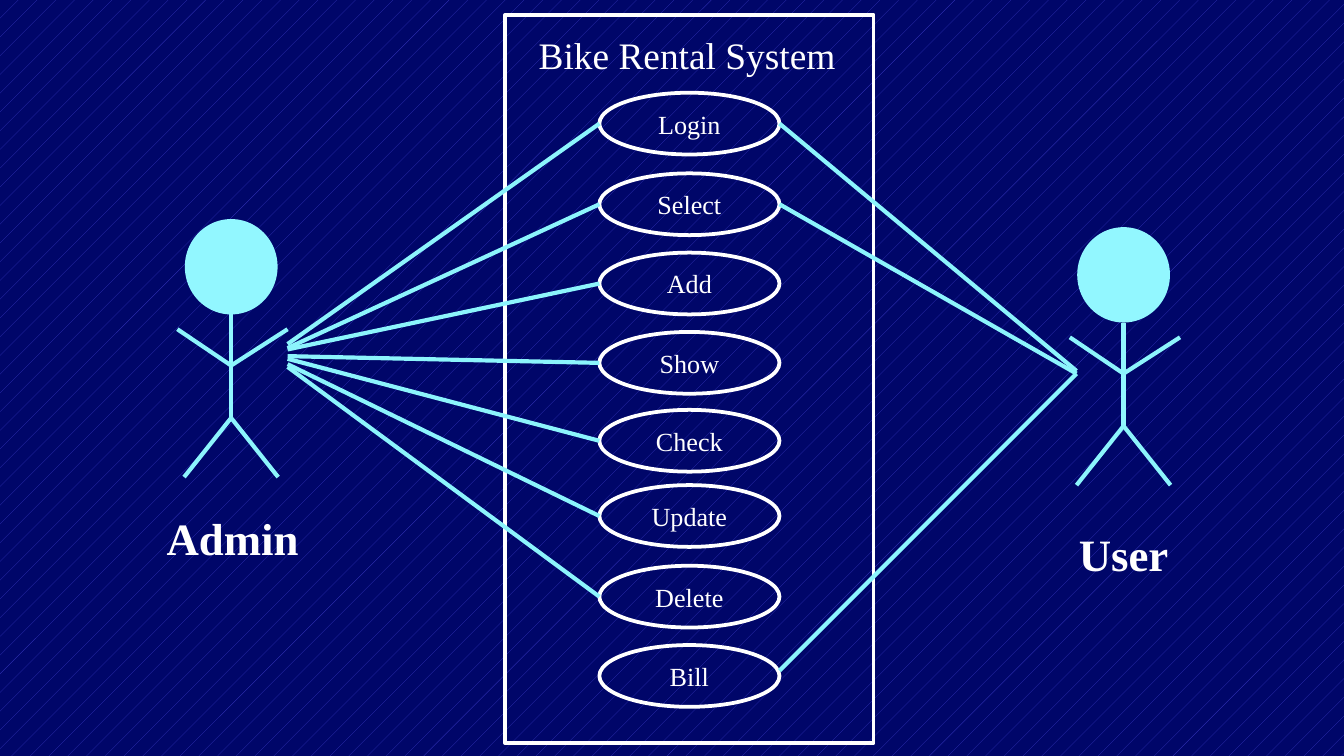
from pptx import Presentation
from pptx.dml.color import RGBColor
from pptx.enum import dml, shapes, text
from pptx.oxml.ns import qn
from pptx.util import Inches, Pt
from lxml import etree

NAVY = RGBColor(0x00, 0x06, 0x69)
INDIGO = RGBColor(0x33, 0x33, 0xB8)
WHITE = RGBColor(0xFF, 0xFF, 0xFF)
AQUA = RGBColor(0x92, 0xF7, 0xFF)
CYAN = RGBColor(0x8C, 0xF4, 0xFC)
FONT = "Times New Roman"

SYSTEM = "Bike Rental System"
USE_CASES = {"Login": 0.69, "Select": 1.29, "Add": 1.88, "Show": 2.47,
             "Check": 3.05, "Update": 3.61, "Delete": 4.21, "Bill": 4.8}
CASE_LEFT, CASE_WIDTH, CASE_HEIGHT = 4.46, 1.34, 0.46

ACTORS = [
    {"name": "Admin", "center": 1.72, "top": 1.63, "label": (1.09, 3.75),
     "case_side": CASE_LEFT, "reach": 2.14,
     "links": {"Login": 2.56, "Select": 2.59, "Add": 2.6, "Show": 2.65,
               "Check": 2.67, "Update": 2.71, "Delete": 2.73}},
    {"name": "User", "center": 8.36, "top": 1.69, "label": (7.72, 3.87),
     "case_side": CASE_LEFT + CASE_WIDTH, "reach": 8.01,
     "links": {"Login": 2.76, "Select": 2.78, "Bill": 2.78}},
]
HEAD_WIDTH, HEAD_HEIGHT = 0.69, 0.71
SHOULDER, HIP = 1.09, 1.48
LIMBS = [(HIP, -0.35, 1.92), (HIP, 0.35, 1.92),
         (SHOULDER, 0.42, 0.82), (SHOULDER, -0.4, 0.82)]

prs = Presentation()
prs.slide_width = Inches(10)
prs.slide_height = prs.slide_width * 9 // 16
slide = prs.slides.add_slide(prs.slide_layouts[6])
backdrop = slide.background.fill
backdrop.patterned()
backdrop.pattern = dml.MSO_PATTERN.PERCENT_5
backdrop.fore_color.rgb = INDIGO
backdrop.back_color.rgb = NAVY


def write(frame, words, size, align, bold=False):
    frame.word_wrap = True
    paragraph = frame.paragraphs[0]
    paragraph.alignment = align
    run = paragraph.add_run()
    run.text = words
    run.font.name, run.font.size, run.font.bold = FONT, Pt(size), bold
    run.font.color.rgb = WHITE


def add_label(box, words, size, align, bold=False):
    frame = slide.shapes.add_textbox(*map(Inches, box)).text_frame
    frame.auto_size = text.MSO_AUTO_SIZE.SHAPE_TO_FIT_TEXT
    write(frame, words, size, align, bold)


def add_form(kind, box, fill=None):
    form = slide.shapes.add_shape(kind, *map(Inches, box))
    form.shadow.inherit = False
    if fill is None:
        form.fill.background()
        form.line.color.rgb = WHITE
        form.line.width = Pt(2)
    else:
        form.fill.solid()
        form.fill.fore_color.rgb = fill
        form.line.fill.background()
    return form


def add_stroke(start, end, color=CYAN):
    stroke = slide.shapes.add_connector(
        shapes.MSO_CONNECTOR.STRAIGHT, *map(Inches, start + end))
    stroke.line.color.rgb = color
    stroke.line.width = Pt(2.25)
    etree.SubElement(stroke._element.spPr, qn("a:effectLst"))


CENTER, LEFT = text.PP_ALIGN.CENTER, text.PP_ALIGN.LEFT
OVAL = shapes.MSO_SHAPE.OVAL

add_form(shapes.MSO_SHAPE.RECTANGLE, (3.76, 0.11, 2.74, 5.42))
add_label((3.91, 0.19, 2.44, 0.44), SYSTEM, 20, LEFT)

for case, top in USE_CASES.items():
    oval = add_form(OVAL, (CASE_LEFT, top, CASE_WIDTH, CASE_HEIGHT))
    oval.text_frame.vertical_anchor = text.MSO_ANCHOR.MIDDLE
    write(oval.text_frame, case, 14, CENTER)

for actor in ACTORS:
    x, top = actor["center"], actor["top"]
    add_label(actor["label"] + (1.28, 0.5), actor["name"], 24, CENTER, True)
    add_form(OVAL, (x - HEAD_WIDTH / 2, top, HEAD_WIDTH, HEAD_HEIGHT), AQUA)
    add_stroke((x, top + HEAD_HEIGHT), (x, top + HIP), AQUA)
    for joint, reach, tip in LIMBS:
        add_stroke((x, top + joint), (x + reach, top + tip))
    for case, hand in actor["links"].items():
        middle = 4.99 if case == "Bill" else USE_CASES[case] + CASE_HEIGHT / 2
        add_stroke((actor["case_side"], middle), (actor["reach"], hand))

prs.save("out.pptx")
